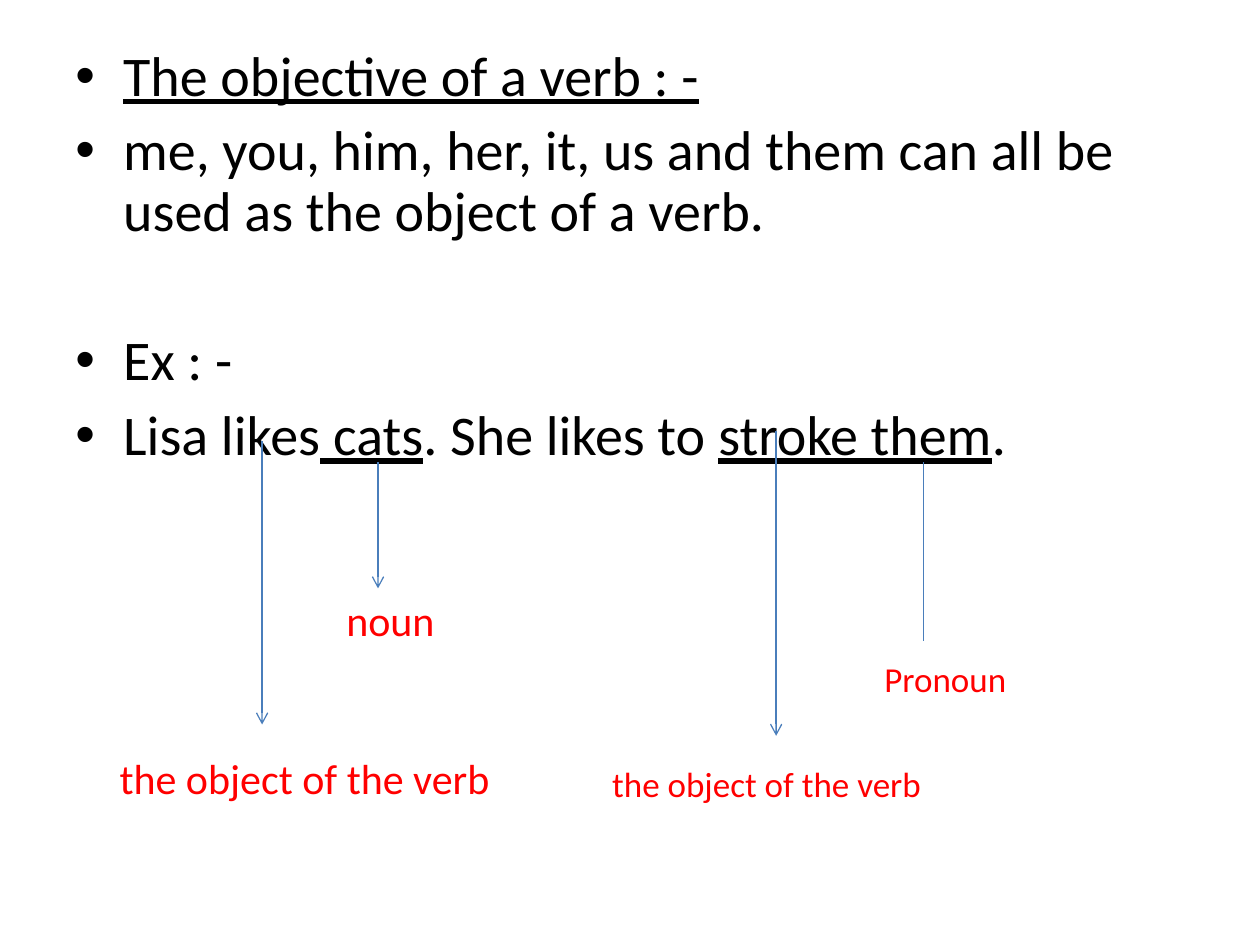
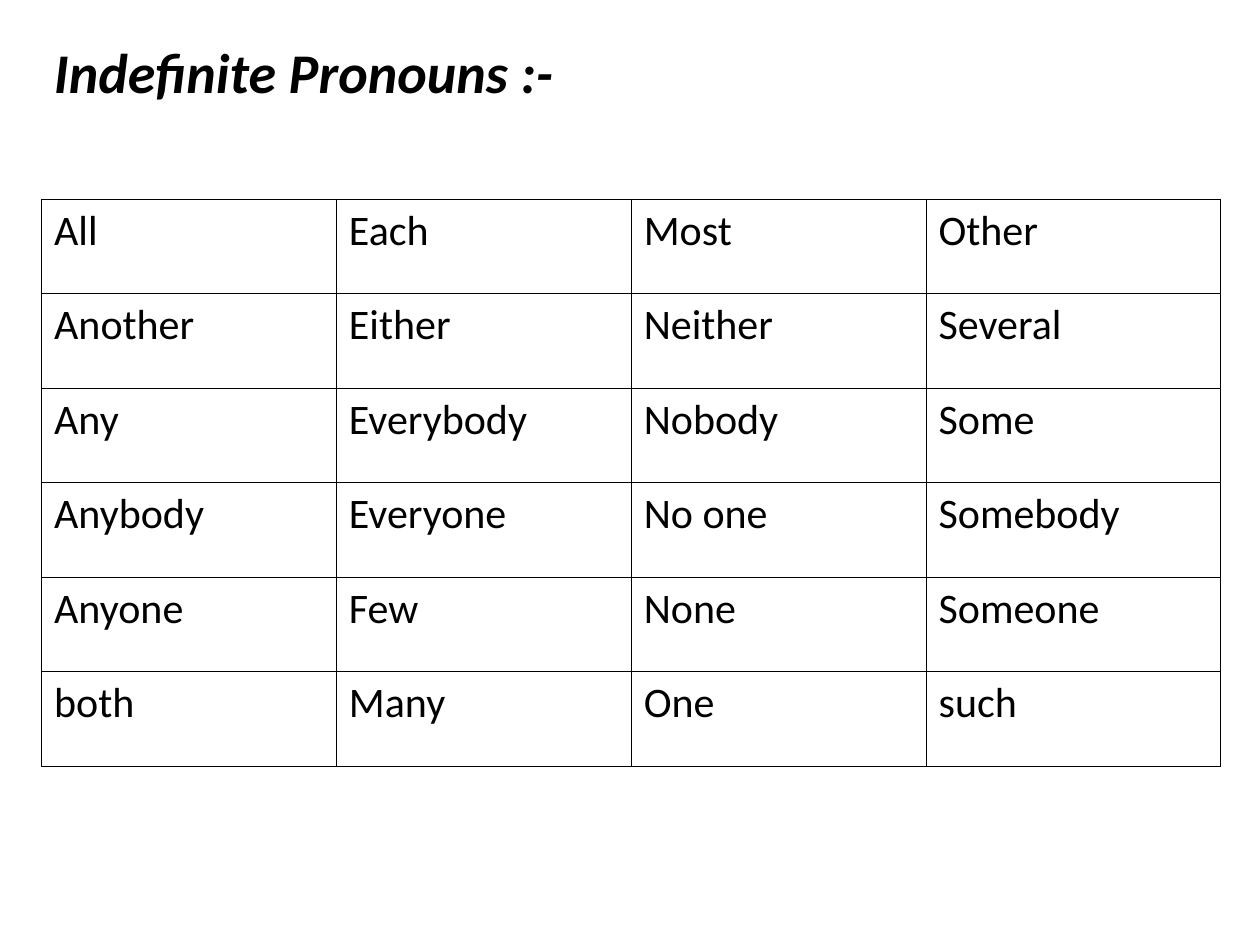
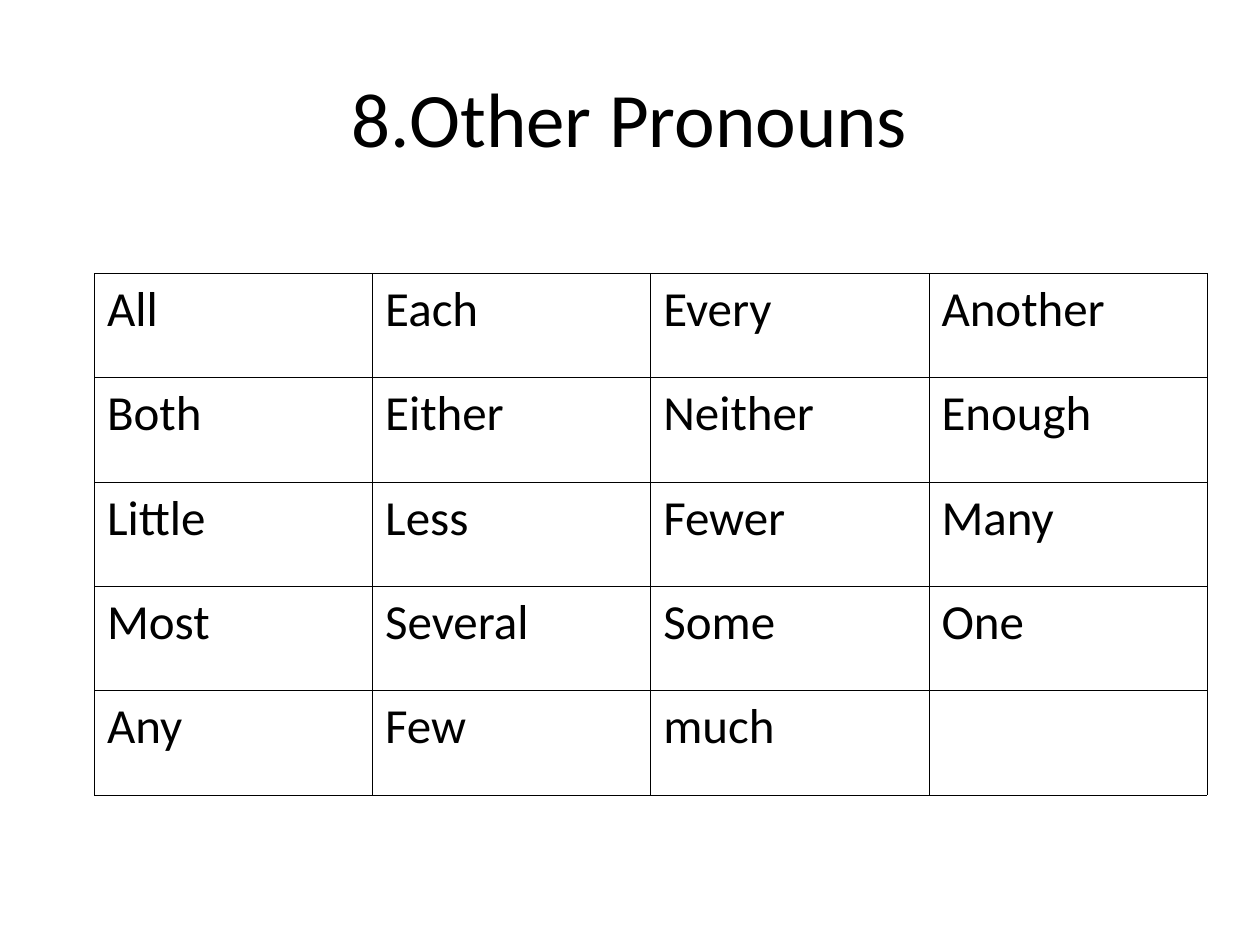
from lxml.etree import SubElement
from pptx import Presentation
from pptx.dml.color import RGBColor
from pptx.enum.shapes import MSO_CONNECTOR
from pptx.enum.text import MSO_ANCHOR, PP_ALIGN
from pptx.oxml.ns import qn
from pptx.util import Inches, Pt

BLACK = RGBColor(0x00, 0x00, 0x00)
RED = RGBColor(0xFF, 0x00, 0x00)
BLUE = RGBColor(0x4A, 0x7E, 0xBB)
FONT = "Calibri"

# Each point: space before, then (text, underlined) runs
POINTS = [
    (0, [("The objective of a verb : -", True)]),
    (8, [("me, you, him, her, it, us and them can all be "
          "used as the object of a verb.", False)]),
    (51, [("Ex : -", False)]),
    (8, [("Lisa likes", False), (" cats", True), (". She likes to ", False),
         ("stroke them", True), (".", False)]),
]

# Each arrow: x, top, bottom, has a head
ARROWS = [
    (3, 3.67, 4.67, True),
    (2.08, 3.5, 5.75, True),
    (7.33, 3.67, 5.09, False),
    (6.16, 3.42, 5.84, True),
]

# Each label: text, left, top, width, height, size
LABELS = [
    ("noun", 2.65, 4.67, 0.9, 0.5, 24),
    ("the object of the verb", 0.85, 5.92, 3.21, 0.5, 24),
    ("Pronoun", 6.92, 5.17, 1.83, 0.44, 20),
    ("the object of the verb", 4.76, 6, 2.72, 0.44, 20),
]

INDEFINITE = [
    ["All", "Each", "Most", "Other"],
    ["Another", "Either", "Neither", "Several"],
    ["Any", "Everybody", "Nobody", "Some"],
    ["Anybody", "Everyone", "No one", "Somebody"],
    ["Anyone", "Few", "None", "Someone"],
    ["both", "Many", "One", "such"],
]

OTHER = [
    ["All", "Each", "Every", "Another"],
    ["Both", "Either", "Neither", "Enough"],
    ["Little", "Less", "Fewer", "Many"],
    ["Most", "Several", "Some", "One"],
    ["Any", "Few", "much", ""],
]


def style(para, size, color=BLACK):
    font = para.font
    font.name = FONT
    font.size = Pt(size)
    font.color.rgb = color
    return font


def add_frame(slide, left, top, width, height):
    box = slide.shapes.add_textbox(Inches(left), Inches(top),
                                   Inches(width), Inches(height))
    box.text_frame.word_wrap = True
    return box.text_frame


def add_text(slide, text, left, top, width, height, size, color=BLACK):
    """Add a one-paragraph box and return its text frame."""
    frame = add_frame(slide, left, top, width, height)
    para = frame.paragraphs[0]
    para.text = text
    style(para, size, color)
    return frame


def add_bullet(para):
    props = para._p.get_or_add_pPr()
    props.set("marL", str(Inches(0.38)))
    props.set("indent", str(-Inches(0.38)))
    SubElement(props, qn("a:buFont"), typeface="Arial")
    SubElement(props, qn("a:buChar"), char="•")


def add_points(slide, points):
    frame = add_frame(slide, 0.5, 0.33, 9, 3.5)
    for i, (gap, runs) in enumerate(points):
        para = frame.add_paragraph() if i else frame.paragraphs[0]
        para.line_spacing = 0.9
        para.space_before = Pt(gap)
        add_bullet(para)
        style(para, 32)
        for text, lined in runs:
            run = para.add_run()
            run.text = text
            if lined:
                run.font.underline = True


def add_arrow(slide, x, top, bottom, head):
    line = slide.shapes.add_connector(MSO_CONNECTOR.STRAIGHT, Inches(x),
                                      Inches(top), Inches(x), Inches(bottom))
    line.line.color.rgb = BLUE
    line.line.width = Pt(0.75)
    if head:
        SubElement(line.line._get_or_add_ln(), qn("a:tailEnd"), type="arrow")
    SubElement(line._element.spPr, qn("a:effectLst"))


def add_border(cell):
    props = cell._tc.get_or_add_tcPr()
    for side in ("lnL", "lnR", "lnT", "lnB"):
        edge = SubElement(props, qn(f"a:{side}"), w=str(Pt(0.45)))
        fill = SubElement(edge, qn("a:solidFill"))
        SubElement(fill, qn("a:srgbClr"), val=str(BLACK))


def add_grid(slide, words, left, top, width, height, size):
    """Add a plain ruled table with equal rows and columns."""
    table = slide.shapes.add_table(len(words), len(words[0]), Inches(left),
                                   Inches(top), Inches(width),
                                   Inches(height)).table
    table.first_row = False
    table.horz_banding = False
    for r, row in enumerate(words):
        for c, word in enumerate(row):
            cell = table.cell(r, c)
            cell.text = word
            style(cell.text_frame.paragraphs[0], size)
            add_border(cell)
            cell.fill.background()


def main():
    deck = Presentation()
    deck.slide_width = Inches(10)
    deck.slide_height = Inches(7.5)
    verb, some, rest = [deck.slides.add_slide(deck.slide_layouts[6])
                        for _ in range(3)]

    add_points(verb, POINTS)
    for arrow in ARROWS:
        add_arrow(verb, *arrow)
    for label in LABELS:
        add_text(verb, *label, color=RED)

    head = add_text(some, "Indefinite Pronouns :-", 0.33, 0.25, 5.42, 0.64, 32)
    head.paragraphs[0].font.bold = True
    head.paragraphs[0].font.italic = True
    add_grid(some, INDEFINITE, 0.33, 1.58, 9.36, 4.5, 24)

    title = add_text(rest, "8.Other Pronouns", 0.5, 0.3, 9, 1.25, 44)
    title.vertical_anchor = MSO_ANCHOR.MIDDLE
    title.paragraphs[0].alignment = PP_ALIGN.CENTER
    add_grid(rest, OTHER, 0.75, 2.17, 8.83, 4.14, 28)

    deck.save("out.pptx")


if __name__ == "__main__":
    main()
